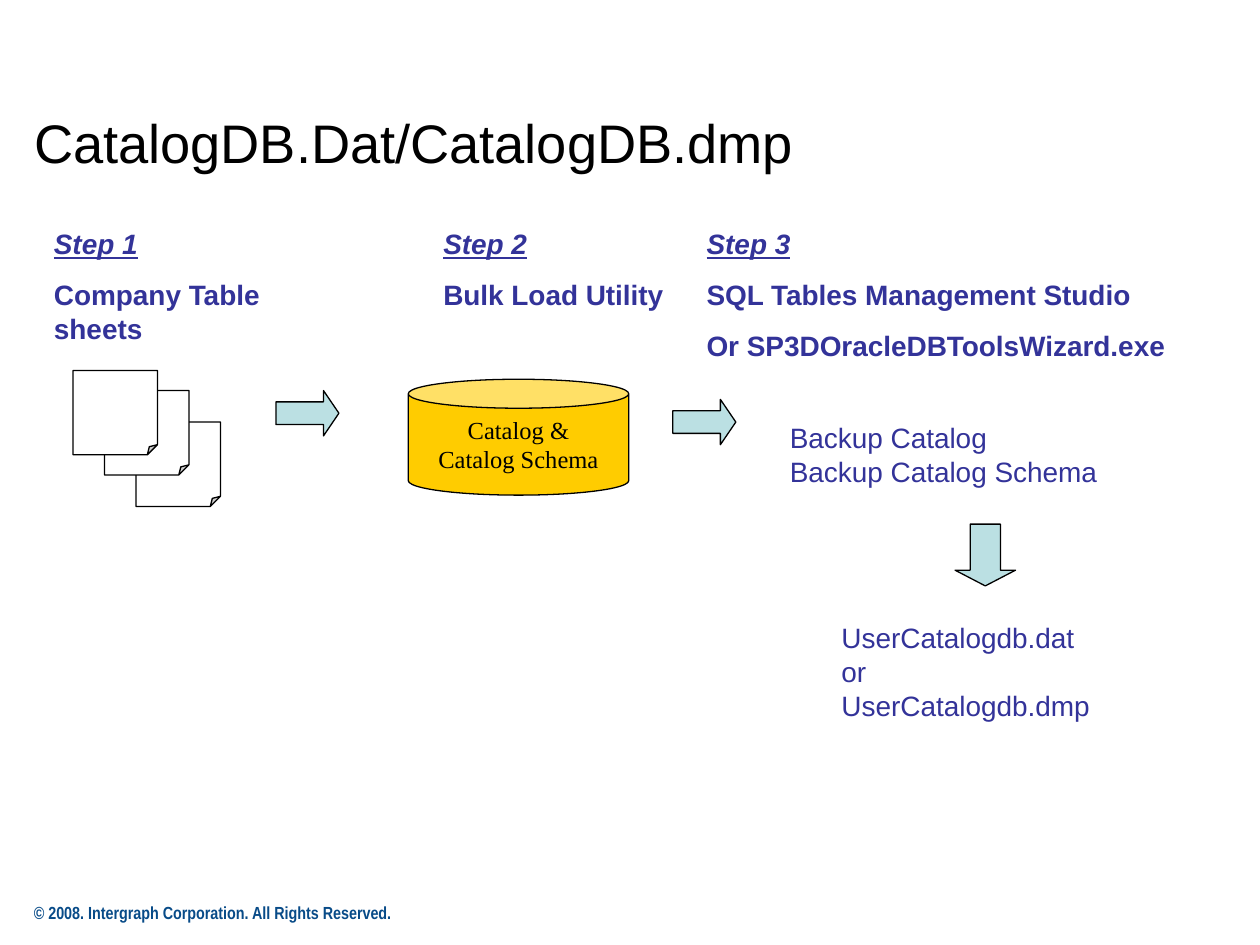
from dataclasses import dataclass

from lxml import etree
from pptx import Presentation
from pptx import util as u
from pptx.dml.color import RGBColor
from pptx.enum import shapes, text
from pptx.oxml import ns


@dataclass(frozen=True)
class Theme:
    sans: str = "Arial"
    narrow: str = "Arial Narrow"
    serif: str = "Times New Roman"
    ink: str = "000000"
    body: str = "333399"
    legal: str = "084B88"
    arrow: str = "BBE0E3"
    paper: str = "FFFFFF"
    database: str = "FFCC00"
    title_size: float = 31
    body_size: float = 16
    database_size: float = 14
    legal_size: float = 10
    outline: float = 0.75
    step_gap: float = 10


def write(paragraph, content, *, font, size, color, bold=False, italic=False,
          underline=False, align=text.PP_ALIGN.LEFT, before=0):
    paragraph.alignment = align
    if before:
        paragraph.space_before = u.Pt(before)
    run = paragraph.add_run()
    run.text = content
    run.font.name = font
    run.font.size = u.Pt(size)
    run.font.color.rgb = RGBColor.from_string(color)
    run.font.bold = bold
    run.font.italic = italic
    run.font.underline = underline


class SlideBuilder:
    def __init__(self, slide, theme):
        self.slide = slide
        self.theme = theme

    def title(self, content, left, top, width, height):
        heading = self.slide.shapes.title
        heading.left, heading.top = u.Inches(left), u.Inches(top)
        heading.width, heading.height = u.Inches(width), u.Inches(height)
        frame = heading.text_frame
        frame.auto_size = text.MSO_AUTO_SIZE.NONE
        frame.vertical_anchor = text.MSO_ANCHOR.MIDDLE
        write(frame.paragraphs[0], content, font=self.theme.sans,
              size=self.theme.title_size, color=self.theme.ink)

    def lines(self, frame, contents, **style):
        for index, content in enumerate(contents):
            paragraph = frame.add_paragraph() if index else frame.paragraphs[0]
            write(paragraph, content, **style)

    def text_box(self, left, top, width, height):
        box = self.slide.shapes.add_textbox(
            u.Inches(left), u.Inches(top), u.Inches(width), u.Inches(height))
        box.text_frame.word_wrap = True
        return box.text_frame

    def note(self, contents, left, top, width, height):
        self.lines(self.text_box(left, top, width, height), contents,
                   font=self.theme.sans, size=self.theme.body_size,
                   color=self.theme.body)

    def step(self, heading, details, left, top, width, height):
        frame = self.text_box(left, top, width, height)
        style = dict(font=self.theme.sans, size=self.theme.body_size,
                     color=self.theme.body, bold=True)
        write(frame.paragraphs[0], heading, italic=True, underline=True, **style)
        for detail in details:
            write(frame.add_paragraph(), detail, before=self.theme.step_gap, **style)

    def copyright(self, content, left, top, width, height):
        self.lines(self.text_box(left, top, width, height), [content],
                   font=self.theme.narrow, size=self.theme.legal_size,
                   color=self.theme.legal, bold=True)

    def shape(self, preset, fill, adjustments, left, top, width, height):
        figure = self.slide.shapes.add_shape(
            preset, u.Inches(left), u.Inches(top), u.Inches(width), u.Inches(height))
        figure.shadow.inherit = False
        figure.fill.solid()
        figure.fill.fore_color.rgb = RGBColor.from_string(fill)
        figure.line.color.rgb = RGBColor.from_string(self.theme.ink)
        figure.line.width = u.Pt(self.theme.outline)
        guides = next(figure.element.iter(ns.qn("a:avLst")))
        for guide in list(guides):
            guides.remove(guide)
        for name, value in adjustments.items():
            etree.SubElement(guides, ns.qn("a:gd"), name=name,
                             fmla=f"val {round(value * 100000)}")
        return figure

    def right_arrow(self, left, top):
        self.shape(shapes.MSO_SHAPE.RIGHT_ARROW, self.theme.arrow,
                   {"adj1": 0.5, "adj2": 0.34}, left, top, 0.5, 0.36)

    def down_arrow(self, left, top):
        self.shape(shapes.MSO_SHAPE.DOWN_ARROW, self.theme.arrow,
                   {"adj1": 0.5, "adj2": 0.26}, left, top, 0.48, 0.49)

    def sheet(self, left, top):
        self.shape(shapes.MSO_SHAPE.FOLDED_CORNER, self.theme.paper,
                   {"adj": 0.12}, left, top, 0.67, 0.67)

    def database(self, contents, left, top, width, height):
        can = self.shape(shapes.MSO_SHAPE.CAN, self.theme.database,
                         {"adj": 0.25}, left, top, width, height)
        frame = can.text_frame
        frame.word_wrap = False
        frame.vertical_anchor = text.MSO_ANCHOR.MIDDLE
        self.lines(frame, contents, font=self.theme.serif,
                   size=self.theme.database_size, color=self.theme.ink,
                   align=text.PP_ALIGN.CENTER)


def main():
    deck = Presentation()
    deck.slide_width, deck.slide_height = u.Inches(10), u.Inches(7.5)
    builder = SlideBuilder(deck.slides.add_slide(deck.slide_layouts[5]), Theme())

    builder.title("CatalogDB.Dat/CatalogDB.dmp", 0.17, 0.5, 7.42, 1.25)
    builder.copyright("© 2008. Intergraph Corporation. All Rights Reserved.",
                      0.17, 7.11, 5.25, 0.33)

    steps = [
        (["Company Table sheets"], 0.33, 2.5, 1.04),
        (["Bulk Load Utility"], 3.42, 2.17, 0.77),
        (["SQL Tables Management Studio", "Or SP3DOracleDBToolsWizard.exe"],
         5.51, 4.16, 1.18),
    ]
    for number, (details, left, width, height) in enumerate(steps, start=1):
        builder.step(f"Step {number}", details, left, 1.75, width, height)

    for left, top in [(1.08, 3.35), (0.83, 3.1), (0.58, 2.94)]:
        builder.sheet(left, top)
    builder.right_arrow(2.19, 3.1)
    builder.database(["Catalog &", "Catalog Schema"], 3.24, 3.01, 1.75, 0.92)
    builder.right_arrow(5.34, 3.17)
    builder.note(["Backup Catalog", "Backup Catalog Schema"], 6.17, 3.29, 3, 0.64)
    builder.down_arrow(7.58, 4.16)
    builder.note(["UserCatalogdb.dat or UserCatalogdb.dmp"], 6.58, 4.88, 2.21, 0.9)

    deck.save("out.pptx")


if __name__ == "__main__":
    main()
